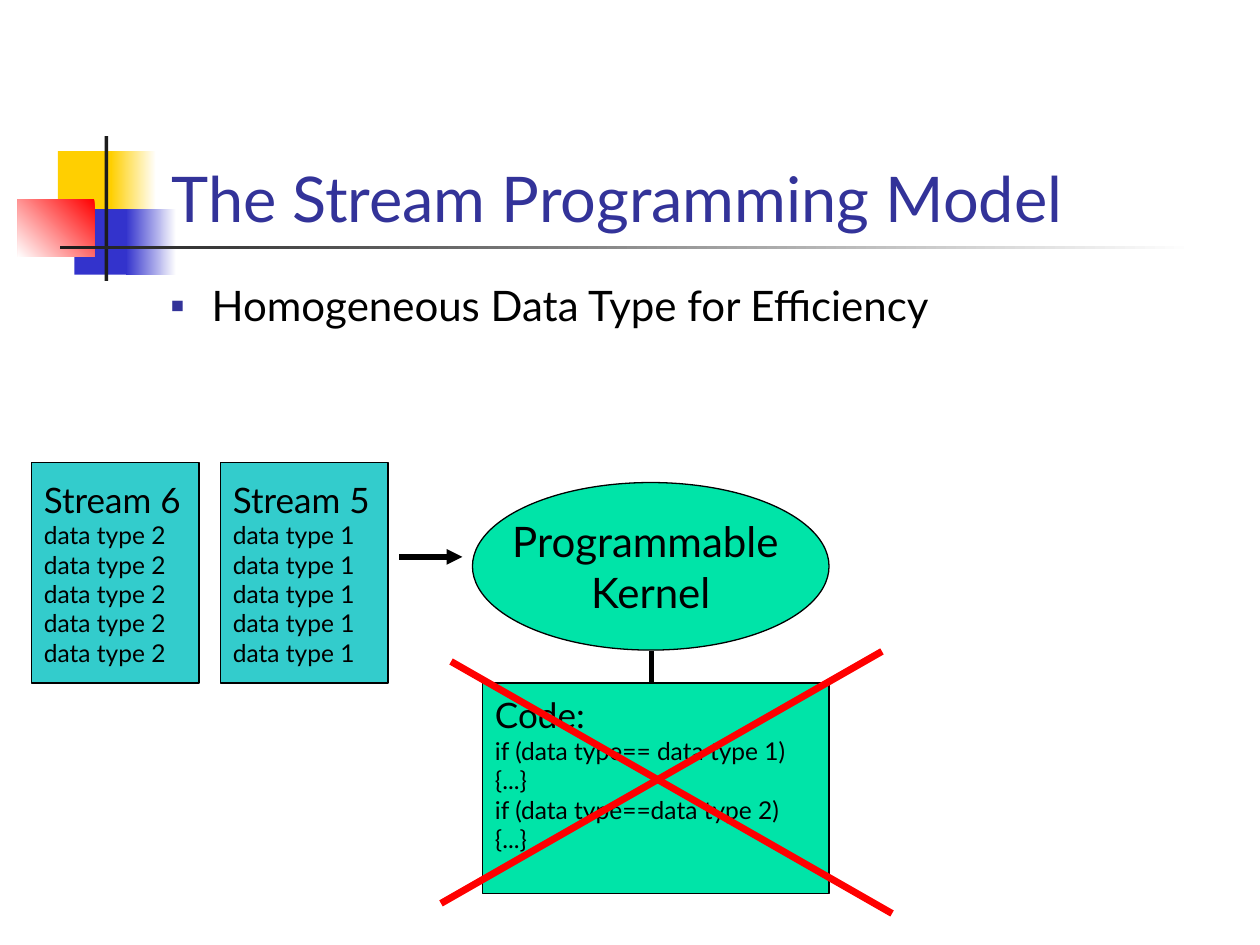
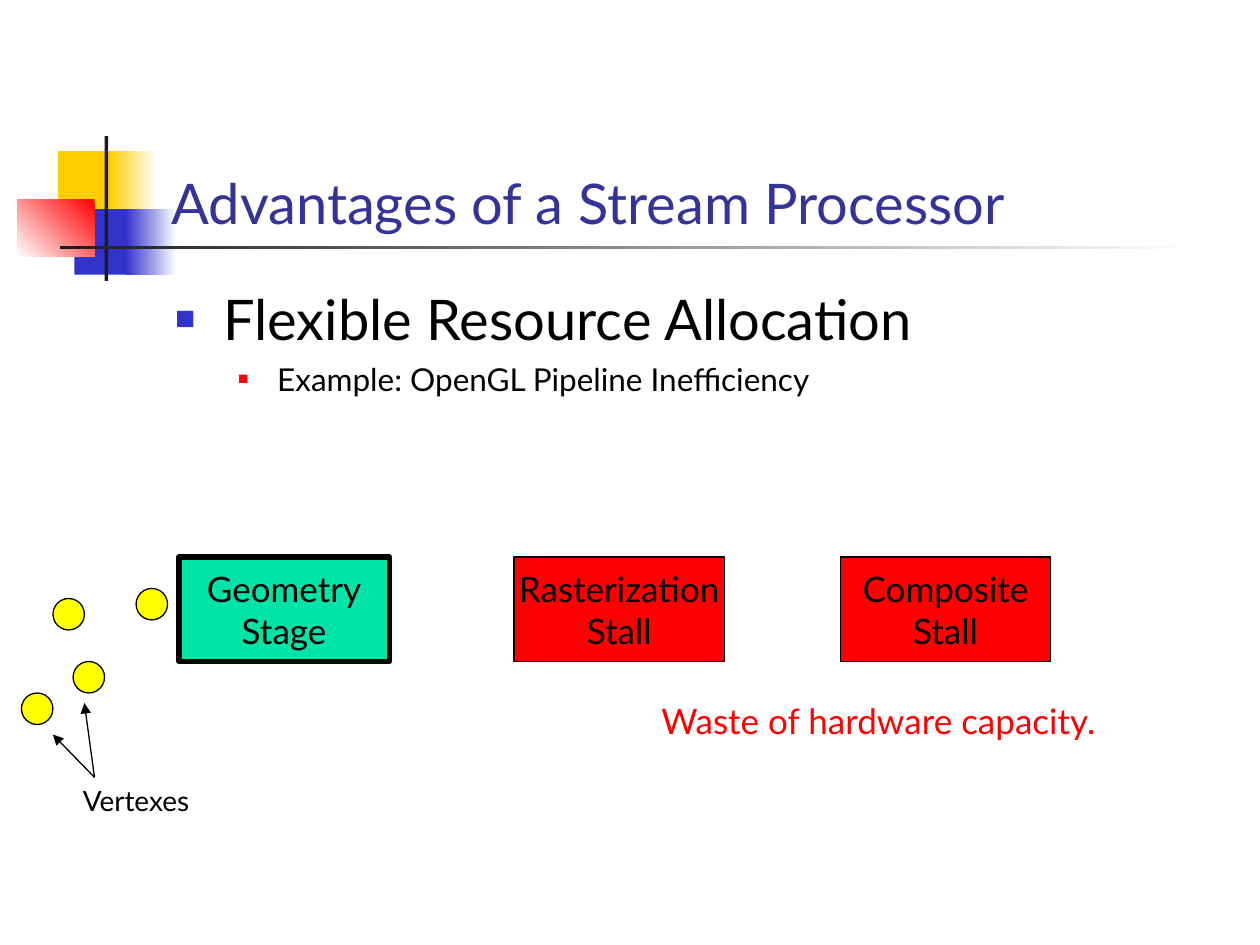
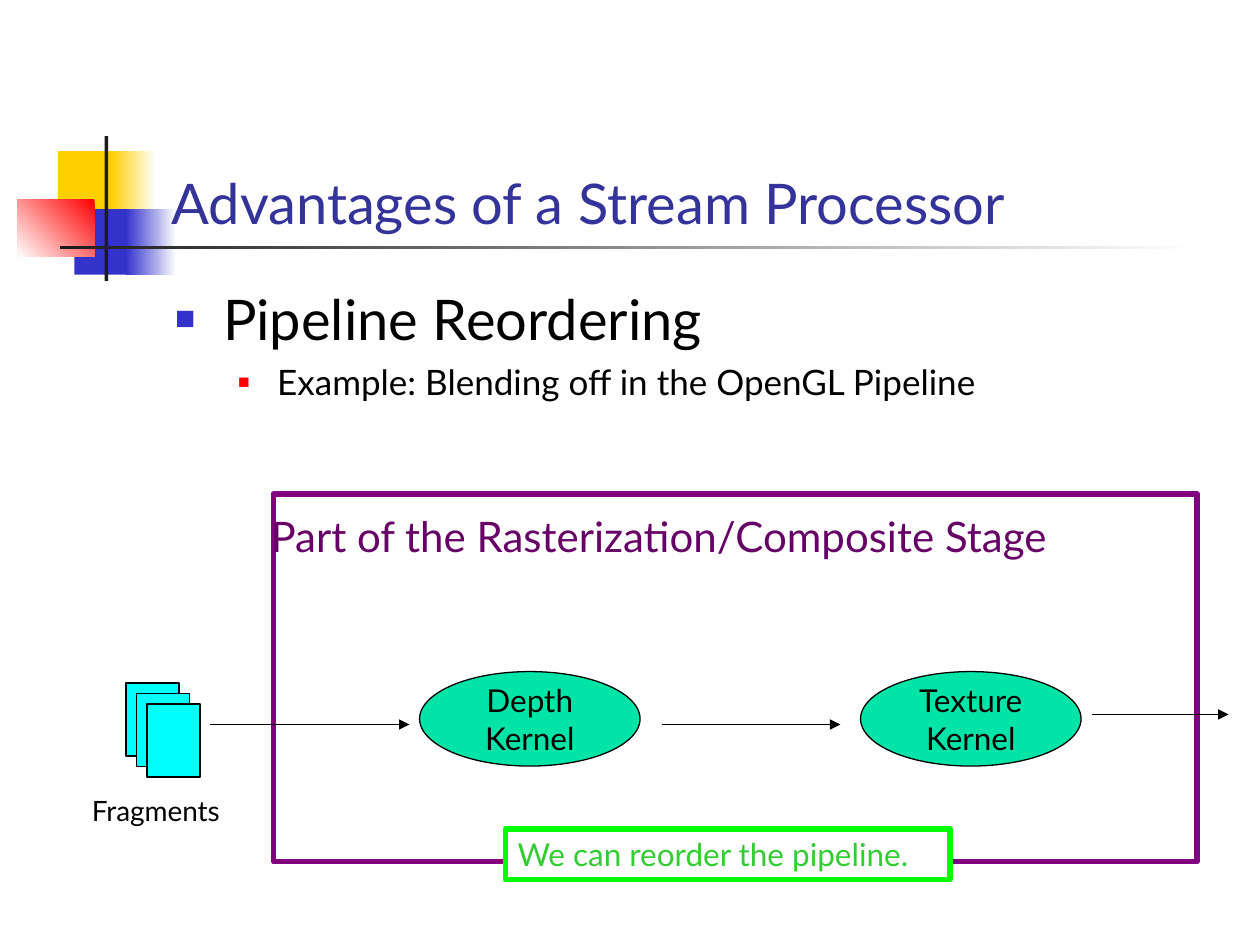
from lxml import etree
from pptx import Presentation
from pptx.dml.color import RGBColor
from pptx.enum.shapes import MSO_CONNECTOR, MSO_SHAPE
from pptx.enum.text import MSO_ANCHOR, MSO_AUTO_SIZE, PP_ALIGN
from pptx.oxml.ns import qn
from pptx.util import Inches, Pt

FONT = "Lato"
BLACK, WHITE, INK = "000000", "FFFFFF", "1C1C1C"
NAVY, BLUE, RED, GOLD = "333399", "3333CC", "FF0000", "FFCF01"
KERNEL, STREAM, VERTEX, FRAGMENT = "00E4A8", "33CCCC", "FFFF00", "00FFFF"
PURPLE, PLUM, LIME, GREEN = "800080", "660066", "00FF00", "33CC33"
RECT, OVAL = MSO_SHAPE.RECTANGLE, MSO_SHAPE.OVAL

TITLE_BOX = (1.26, 0.67, 8.52, 1.25)
BODY_BOX = (1.29, 2.21, 8.5, 4.5)
LEVELS = [
    dict(char="■", color=BLUE, percent=60, left=0.38, hanging=0.38),
    dict(char="■", color=RED, percent=55, left=0.81, hanging=0.31),
]
PLAIN_LEVEL = dict(char="▪", color=NAVY, percent=100, left=0.33, hanging=0.33)
# left, top, width, height, colours from start to end, clockwise angle
MASTER_ART = [
    (0.46, 1.2, 0.48, 0.52, [GOLD], 0),
    (0.88, 1.2, 0.36, 0.52, [WHITE, GOLD], 180),
    (0.59, 1.66, 0.46, 0.52, [BLUE], 0),
    (1, 1.66, 0.4, 0.52, [WHITE, BLUE], 180),
    (0.14, 1.58, 0.61, 0.46, [RED, WHITE], 135),
    (0.83, 1.08, 0.03, 1.15, [INK], 0),
    (0.48, 1.95, 9, 0.03, [WHITE, INK], 180),
]


def rgb(color):
    return RGBColor.from_string(color)


def set_format(obj, **values):
    for name, value in values.items():
        setattr(obj, name, value)


def inches(*lengths):
    return [Inches(length) for length in lengths]


def place(sp, box):
    set_format(sp, **dict(zip(("left", "top", "width", "height"), inches(*box))))


def write(p, text, size, color=BLACK):
    r = p.add_run()
    r.text = text
    set_format(r.font, name=FONT, size=Pt(size))
    r.font.color.rgb = rgb(color)


def write_lines(tf, lines, color=BLACK, align=PP_ALIGN.LEFT):
    """Write (text, size) pairs, one paragraph each."""
    for i, (text, size) in enumerate(lines):
        p = tf.add_paragraph() if i else tf.paragraphs[0]
        p.alignment = align
        write(p, text, size, color)


def add_shape(shapes, kind, box, fill, line=BLACK, width=0.75):
    sp = shapes.add_shape(kind, *inches(*box))
    sp.shadow.inherit = False
    sp.fill.solid()
    sp.fill.fore_color.rgb = rgb(fill)
    if line:
        sp.line.color.rgb = rgb(line)
        sp.line.width = Pt(width)
    else:
        sp.line.fill.background()
    return sp


def add_node(s, kind, box, fill, lines, align=PP_ALIGN.CENTER, width=0.75):
    sp = add_shape(s.shapes, kind, box, fill, width=width)
    set_format(sp.text_frame, word_wrap=False, vertical_anchor=MSO_ANCHOR.MIDDLE)
    write_lines(sp.text_frame, lines, align=align)
    return sp


def add_label(s, box, text, size, color=BLACK):
    tf = s.shapes.add_textbox(*inches(*box)).text_frame
    set_format(tf, word_wrap=False, auto_size=MSO_AUTO_SIZE.SHAPE_TO_FIT_TEXT)
    write_lines(tf, [(text, size)], color)


def add_line(s, start, end, color=BLACK, width=0.75, arrow=True):
    cn = s.shapes.add_connector(MSO_CONNECTOR.STRAIGHT, *inches(*start, *end))
    cn.line.color.rgb = rgb(color)
    cn.line.width = Pt(width)
    if arrow:
        etree.SubElement(cn.line._get_or_add_ln(), qn("a:tailEnd"), type="triangle")
    etree.SubElement(cn._element.spPr, qn("a:effectLst"))


def set_bullet(p, char, color, percent, left, hanging):
    pPr = p._p.get_or_add_pPr()
    pPr.set("marL", str(Inches(left)))
    pPr.set("indent", str(-Inches(hanging)))
    clr = etree.SubElement(pPr, qn("a:buClr"))
    etree.SubElement(clr, qn("a:srgbClr"), val=color)
    etree.SubElement(pPr, qn("a:buSzPct"), val=str(percent * 1000))
    etree.SubElement(pPr, qn("a:buFont"), typeface="Arial")
    etree.SubElement(pPr, qn("a:buChar"), char=char)


def decorate_master(prs, s):
    """Draw the shared squares and rules on s, then move them to the master."""
    for i, (*box, colors, angle) in enumerate(MASTER_ART):
        sp = add_shape(s.shapes, RECT, box, colors[0], line=None)
        if len(colors) > 1:
            sp.fill.gradient()
            sp.fill.gradient_angle = 360 - angle
            for stop, color in zip(sp.fill.gradient_stops, colors):
                stop.color.rgb = rgb(color)
        sp._element.nvSpPr.cNvPr.set("id", str(20 + i))
        prs.slide_master.shapes.element.append(sp._element)


def add_slide(prs, title, title_size, items, box=BODY_BOX, levels=LEVELS):
    """Add a slide with its title and a list of (text, size, space before)."""
    s = prs.slides.add_slide(prs.slide_layouts[1])
    head, body = s.shapes.title, s.placeholders[1]
    place(head, TITLE_BOX)
    set_format(head.text_frame, vertical_anchor=MSO_ANCHOR.BOTTOM,
               auto_size=MSO_AUTO_SIZE.NONE)
    write_lines(head.text_frame, [(title, title_size)], NAVY)
    place(body, box)
    tf = body.text_frame
    tf.auto_size = MSO_AUTO_SIZE.NONE
    for i, (text, size, before) in enumerate(items):
        p = tf.add_paragraph() if i else tf.paragraphs[0]
        set_format(p, level=i, space_before=Pt(before))
        set_bullet(p, **levels[i])
        write(p, text, size)
    return s


def add_stream(s, left, top, number, data_type):
    lines = [(f"Stream {number}", 20)] + [(f"data type {data_type}", 14)] * 5
    add_node(s, RECT, (left, top, 1.33, 1.75), STREAM, lines, PP_ALIGN.LEFT)


def add_crossed_code(s, left, top):
    lines = [("Code:", 20)]
    for data_type in ("== data type 1", "==data type 2"):
        lines += [(f"if (data type{data_type})", 14), ("{...}", 14)]
    sp = add_node(s, RECT, (left, top, 2.75, 1.67), KERNEL, lines, PP_ALIGN.LEFT)
    sp.text_frame.margin_bottom = Inches(0.28)
    add_line(s, (left + 1.34, top - 0.25), (left + 1.34, top), width=3, arrow=False)
    for x, y, dy in ((-0.25, -0.17, 2), (-0.33, 1.75, -2)):
        start = (left + x, top + y)
        end = (start[0] + 3.5, start[1] + dy)
        add_line(s, start, end, RED, width=4, arrow=False)


def add_vertexes(s, left, top):
    for x, y in ((0.25, 0.08), (0.91, 0), (0, 0.83), (0.41, 0.58)):
        add_shape(s.shapes, OVAL, (left + x, top + y, 0.25, 0.25), VERTEX)
    for x, y in ((0.5, 0.91), (0.25, 1.16)):
        add_line(s, (left + 0.58, top + 1.5), (left + x, top + y))
    add_label(s, (left + 0.39, top + 1.5, 1.1, 0.37), "Vertexes", 16)


def add_stages(s, top):
    stages = [(1.42, "Geometry", "Stage", KERNEL, 3),
              (4.08, "Rasterization", "Stall", RED, 0.75),
              (6.67, "Composite", "Stall", RED, 0.75)]
    for left, name, state, fill, width in stages:
        add_node(s, RECT, (left, top, 1.67, 0.83), fill,
                 [(name, 20), (state, 20)], width=width)
    add_label(s, (5.15, top + 1.08, 3.89, 0.44), "Waste of hardware capacity.", 20, RED)


def add_reordering(s, left, top):
    """Draw the framed part of the pipeline with its two kernels."""
    add_shape(s.shapes, RECT, (left, top, 7.33, 2.92), WHITE, PURPLE, 3)
    add_label(s, (left - 0.12, top + 0.08, 6.76, 0.5),
              "Part of the Rasterization/Composite Stage", 24, PLUM)
    for x, name in ((1.16, "Depth"), (4.66, "Texture")):
        add_node(s, OVAL, (left + x, top + 1.41, 1.75, 0.75), KERNEL,
                 [(name, 18), ("Kernel", 18)])
    for x1, x2, y in ((3.08, 4.5, 1.83), (-0.5, 1.08, 1.83), (6.5, 7.58, 1.75)):
        add_line(s, (left + x1, top + y), (left + x2, top + y))


def add_fragments(s, left, top):
    group = s.shapes.add_group_shape()
    for i in range(3):
        step = i * 0.25 / 3
        add_shape(group.shapes, RECT, (left + step, top + step, 0.42, 0.58), FRAGMENT)
    add_label(s, (left - 0.37, top + 0.83, 1.32, 0.37), "Fragments", 16)


def add_note(s, box, text):
    sp = add_shape(s.shapes, RECT, box, WHITE, LIME, 3)
    set_format(sp.text_frame, word_wrap=True, vertical_anchor=MSO_ANCHOR.TOP,
               auto_size=MSO_AUTO_SIZE.SHAPE_TO_FIT_TEXT)
    write_lines(sp.text_frame, [(text, 18)], GREEN)


def build_model(prs):
    s = add_slide(prs, "The Stream Programming Model", 36,
                  [("Homogeneous Data Type for Efficiency", 24, 0)],
                  (1.25, 2.17, 6.51, 0.5), [PLAIN_LEVEL])
    decorate_master(prs, s)
    add_node(s, OVAL, (3.75, 3.83, 2.83, 1.33), KERNEL,
             [("Programmable ", 24), ("Kernel", 24)])
    add_stream(s, 1.75, 3.67, 5, 1)
    add_stream(s, 0.25, 3.67, 6, 2)
    add_line(s, (3.17, 4.42), (3.67, 4.42), width=3)
    add_crossed_code(s, 3.83, 5.42)


def build_allocation(prs):
    s = add_slide(prs, "Advantages of a Stream Processor", 32,
                  [("Flexible Resource Allocation", 32, 0),
                   ("Example: OpenGL Pipeline Inefficiency", 18, 4.5)])
    add_stages(s, 4.42)
    add_vertexes(s, 0.17, 4.67)


def build_reordering(prs):
    s = add_slide(prs, "Advantages of a Stream Processor", 32,
                  [("Pipeline Reordering", 32, 0),
                   ("Example: Blending off in the OpenGL Pipeline", 20, 5)])
    add_reordering(s, 2.17, 3.92)
    add_fragments(s, 1, 5.42)
    add_note(s, (4.01, 6.58, 3.53, 0.4), "We can reorder the pipeline.")


def main():
    prs = Presentation()
    set_format(prs, slide_width=Inches(10), slide_height=Inches(7.5))
    for build in (build_model, build_allocation, build_reordering):
        build(prs)
    prs.save("out.pptx")


if __name__ == "__main__":
    main()
